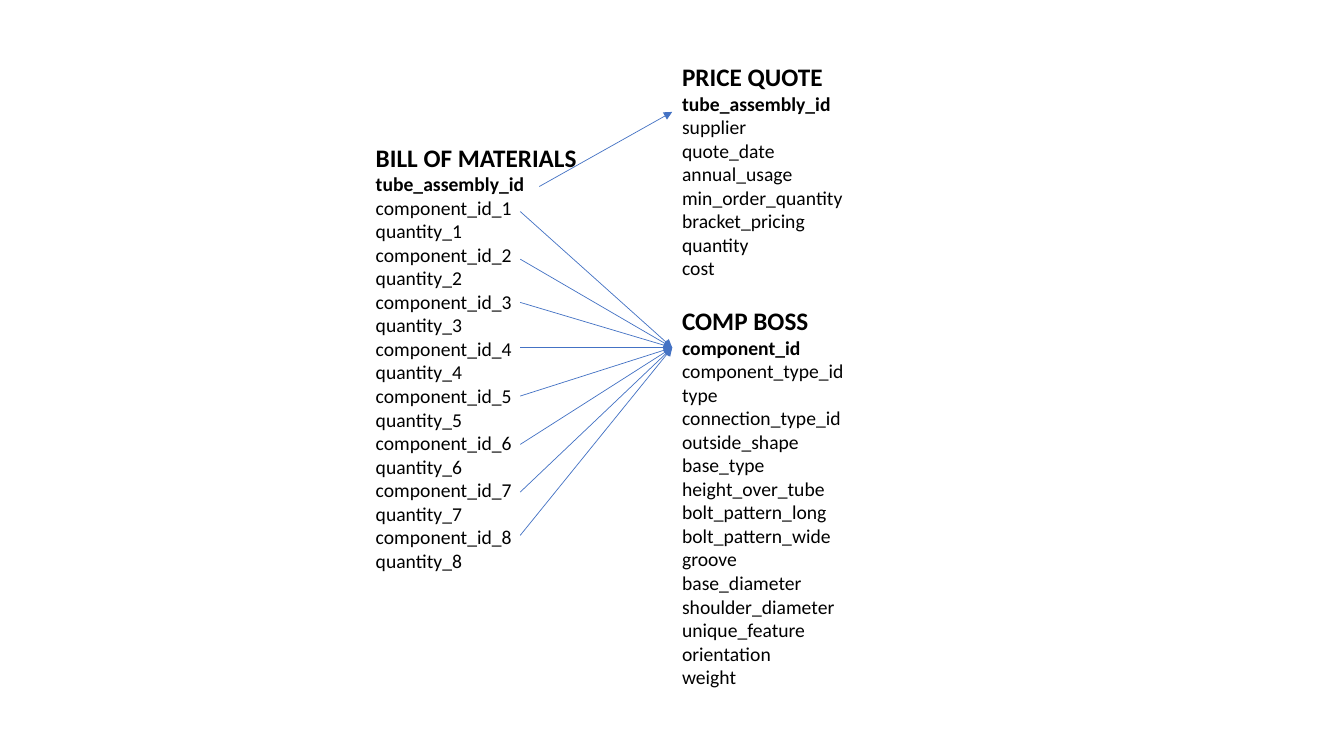
from lxml import etree
from pptx import Presentation
from pptx import util as u
from pptx.dml import color
from pptx.enum import shapes, text
from pptx.oxml import ns

BLACK = color.RGBColor(0x00, 0x00, 0x00)
BLUE = color.RGBColor(0x44, 0x72, 0xC4)

BILL_COLUMNS = [f"{name}_{number}" for number in range(1, 9) for name in ("component_id", "quantity")]

ENTITIES = [
    {"title": "BILL OF MATERIALS", "key": "tube_assembly_id", "columns": BILL_COLUMNS,
     "box": (9.22, 3.45, 5.61, 11.2)},
    {"title": "COMP BOSS", "key": "component_id",
     "columns": ["component_type_id", "type", "connection_type_id", "outside_shape", "base_type",
                 "height_over_tube", "bolt_pattern_long", "bolt_pattern_wide", "groove",
                 "base_diameter", "shoulder_diameter", "unique_feature", "orientation", "weight"],
     "box": (16.94, 7.57, 4.75, 10.01)},
    {"title": "PRICE QUOTE", "key": "tube_assembly_id",
     "columns": ["supplier", "quote_date", "annual_usage", "min_order_quantity",
                 "bracket_pricing", "quantity", "cost"],
     "box": (16.94, 1.42, 4.72, 5.82)},
]

TARGET_LEFT = 16.94
ASSEMBLY_LINK = ((13.59, 4.7), (TARGET_LEFT, 2.82))
COMPONENT_LEFT = 13.11
COMPONENT_TARGET = (TARGET_LEFT, 8.76)
COMPONENT_ROWS = [5.33, 6.53, 7.62, 8.76, 9.98, 11.2, 12.4, 13.49]

FONT = {"name": "Calibri"}
TITLE = {"size": u.Pt(18), "bold": True}
KEY = {"size": u.Pt(14), "bold": True}
COLUMN = {"size": u.Pt(14), "bold": False}


def add_entity(slide, entity):
    shape = slide.shapes.add_textbox(*map(u.Cm, entity["box"]))
    frame = shape.text_frame
    frame.word_wrap = False
    frame.auto_size = text.MSO_AUTO_SIZE.SHAPE_TO_FIT_TEXT
    lines = [(entity["title"], TITLE), (entity["key"], KEY)]
    lines += [(column, COLUMN) for column in entity["columns"]]
    for index, (wording, style) in enumerate(lines):
        paragraph = frame.add_paragraph() if index else frame.paragraphs[0]
        run = paragraph.add_run()
        run.text = wording
        run.font.color.rgb = BLACK
        for attribute, value in {**FONT, **style}.items():
            setattr(run.font, attribute, value)


def add_arrow(slide, start, end):
    connector = slide.shapes.add_connector(
        shapes.MSO_CONNECTOR.STRAIGHT, *map(u.Cm, start + end))
    connector.line.color.rgb = BLUE
    connector.line.width = u.Pt(0.5)
    properties = connector.element.spPr
    outline = properties.find(ns.qn("a:ln"))
    etree.SubElement(outline, ns.qn("a:tailEnd"), type="triangle")
    etree.SubElement(properties, ns.qn("a:effectLst"))


def main():
    presentation = Presentation()
    presentation.slide_width = u.Cm(33.87)
    presentation.slide_height = u.Cm(19.05)
    slide = presentation.slides.add_slide(presentation.slide_layouts[6])
    for entity in ENTITIES:
        add_entity(slide, entity)
    add_arrow(slide, *ASSEMBLY_LINK)
    for row in COMPONENT_ROWS:
        add_arrow(slide, (COMPONENT_LEFT, row), COMPONENT_TARGET)
    presentation.save("out.pptx")


if __name__ == "__main__":
    main()
